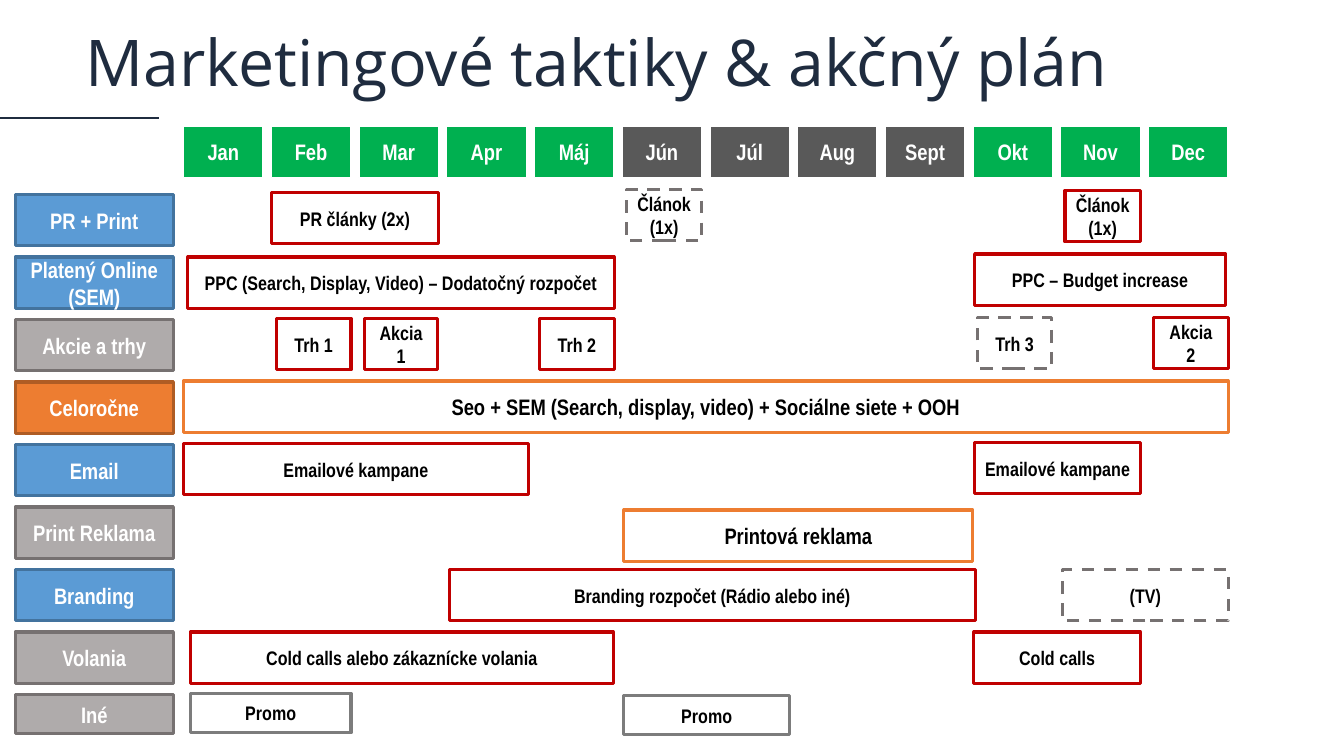
from pptx import Presentation
from pptx.dml.color import RGBColor
from pptx.enum.dml import MSO_LINE
from pptx.enum.shapes import MSO_CONNECTOR, MSO_SHAPE
from pptx.enum.text import MSO_ANCHOR, PP_ALIGN
from pptx.oxml.ns import qn
from pptx.util import Inches, Pt
from lxml import etree

RECT = MSO_SHAPE.RECTANGLE
DASH = MSO_LINE.DASH
MID = MSO_ANCHOR.MIDDLE
CENTER = PP_ALIGN.CENTER

INK, WHITE, BLACK = "1F2C3F", "FFFFFF", "000000"
GREEN, DARK = "00B050", "595959"
RED, ORANGE, GRAY, MUTED = "C00000", "ED7D31", "7C7C7C", "767171"

# Grid in inches: one column per month, one row per tactic
LEFT, COL = 1.82, 0.87
TOP, ROW = 1.93, 0.62
HIGH, LOW = 0.51, 0.39


def color(code):
    return RGBColor.from_string(code)


def box(x, y, w, h, text, fill, edge, width, ink, size):
    """Draw a bordered rectangle with bold centred text; fill may be None."""
    shape = slide.shapes.add_shape(RECT, Inches(x), Inches(y), Inches(w), Inches(h))
    shape.shadow.inherit = False
    if fill:
        shape.fill.solid()
        shape.fill.fore_color.rgb = color(fill)
    else:
        shape.fill.background()
    shape.line.color.rgb = color(edge)
    shape.line.width = Pt(width)
    frame = shape.text_frame
    frame.word_wrap = True
    frame.vertical_anchor = MID
    para = frame.paragraphs[0]
    para.alignment = CENTER
    for i, part in enumerate(text.split("\n")):
        if i:
            para.add_line_break()
        run = para.add_run()
        run.text = part
        run.font.name = "Arial Narrow"
        run.font.size = Pt(size)
        run.font.bold = True
        run.font.color.rgb = color(ink)
    return shape


deck = Presentation()
deck.slide_width, deck.slide_height = Inches(13.33), Inches(7.5)
slide = deck.slides.add_slide(deck.slide_layouts[6])

# Title and rule
rule = slide.shapes.add_connector(
    MSO_CONNECTOR.STRAIGHT, 0, Inches(1.17), Inches(1.58), Inches(1.17))
rule.line.color.rgb = color(INK)
rule.line.width = Pt(1.5)
etree.SubElement(rule._element.spPr, qn("a:effectLst"))

frame = slide.shapes.add_textbox(
    Inches(0.85), Inches(0.44), Inches(12.4), Inches(0.43)).text_frame
frame.word_wrap = True
frame.vertical_anchor = MID
frame.margin_left = frame.margin_right = frame.margin_top = frame.margin_bottom = 0
para = frame.paragraphs[0]
para.line_spacing = 0.9
run = para.add_run()
run.text = "Marketingové taktiky & akčný plán"
run.font.name = "Open Sans"
run.font.size = Pt(46)
run.font.color.rgb = color(INK)

# Months
months = ["Jan", "Feb", "Mar", "Apr", "Máj", "Jún",
          "Júl", "Aug", "Sept", "Okt", "Nov", "Dec"]
for i, month in enumerate(months):
    fill = DARK if 5 <= i <= 8 else GREEN
    box(LEFT + i * COL, 1.25, 0.79, HIGH, month, fill, WHITE, 1, WHITE, 16)

# Tactics
blue, gray, gold = ("5B9BD5", "43739E"), ("AFABAB", MUTED), (ORANGE, "AF5C24")
labels = [("PR + Print", blue), ("Platený Online (SEM)", blue),
          ("Akcie a trhy", gray), ("Celoročne", gold), ("Email", blue),
          ("Print Reklama", gray), ("Branding", blue), ("Volania", gray),
          ("Iné", gray)]
last = len(labels) - 1
for i, (label, (fill, edge)) in enumerate(labels):
    high = LOW if i == last else HIGH
    box(0.15, TOP + i * ROW, 1.57, high, label, fill, edge, 2.25, WHITE, 16)

# Activities: row, first month, span in months, vertical shift, edge, text
plan = [
    (0, 1, 1.91, -0.02, RED, "PR články (2x)"),
    (0, 5.05, 0.86, -0.05, MUTED, "Článok\n(1x)"),
    (0, 10.05, 0.86, -0.04, RED, "Článok\n(1x)"),
    (1, 0.05, 4.86, 0, RED, "PPC (Search, Display, Video) – Dodatočný rozpočet"),
    (1, 9.02, 2.86, -0.03, RED, "PPC – Budget increase"),
    (2, 1.06, 0.85, -0.01, RED, "Trh 1"),
    (2, 2.06, 0.84, -0.01, RED, "Akcia 1"),
    (2, 4.06, 0.85, -0.01, RED, "Trh 2"),
    (2, 9.05, 0.85, -0.02, MUTED, "Trh 3"),
    (2, 11.06, 0.85, -0.02, RED, "Akcia 2"),
    (3, 0, 11.91, -0.01, ORANGE,
     "Seo + SEM (Search, display, video) + Sociálne siete + OOH"),
    (4, 0, 3.93, -0.01, RED, "Emailové kampane"),
    (4, 9.02, 1.89, -0.02, RED, "Emailové kampane"),
    (5, 5.02, 3.98, 0.03, ORANGE, "Printová reklama"),
    (6, 3.03, 6, 0, RED, "Branding rozpočet (Rádio alebo iné)"),
    (6, 10.02, 1.89, 0, MUTED, "(TV)"),
    (7, 0.08, 4.82, 0, RED, "Cold calls alebo zákaznícke volania"),
    (7, 9.01, 1.9, 0, RED, "Cold calls"),
    (8, 0.08, 1.83, -0.01, GRAY, "Promo"),
    (8, 5.02, 1.89, 0.01, GRAY, "Promo"),
]
for row, start, span, shift, edge, text in plan:
    high = LOW if row == last else HIGH
    size = 16 if edge == ORANGE else 14
    bar = box(LEFT + start * COL, TOP + row * ROW + shift, span * COL, high,
              text, None, edge, 2.25, BLACK, size)
    if edge == MUTED:
        bar.line.dash_style = DASH

deck.save("out.pptx")
